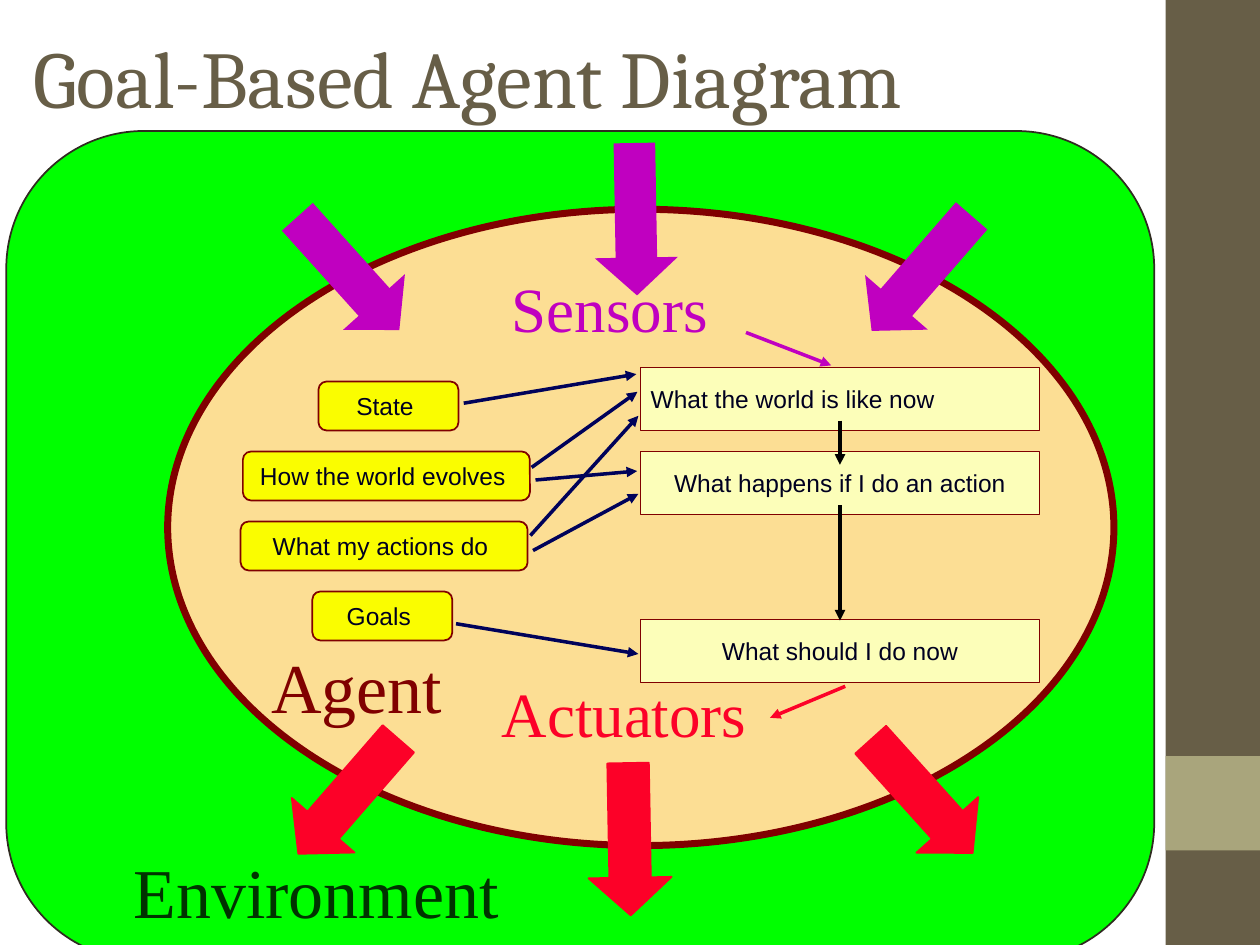
from lxml.etree import SubElement
from pptx import Presentation
from pptx.dml.color import RGBColor
from pptx.enum.shapes import MSO_CONNECTOR, MSO_SHAPE
from pptx.enum.text import MSO_ANCHOR, PP_ALIGN
from pptx.oxml.ns import qn
from pptx.util import Pt

HUES = {
    "brown": "675E47", "khaki": "A9A57C", "green": "00FF00", "edge": "2F2B20",
    "sand": "FCDE94", "maroon": "800000", "purple": "C000C0", "red": "FC0128",
    "cream": "FCFEB9", "yellow": "FAFD00", "ink": "000020", "navy": "00025A",
    "black": "000000", "forest": "003300",
}
SERIF = "Times New Roman"


def hue(name):
    return RGBColor.from_string(HUES[name])


def apply(target, values):
    for key, value in values.items():
        setattr(target, key, value)


def write(shape, text, size, font, color, align=PP_ALIGN.LEFT,
          anchor=MSO_ANCHOR.TOP, pads=(3, 0, 3, 0)):
    frame = shape.text_frame
    left, top, right, bottom = map(Pt, pads)
    apply(frame, {"word_wrap": True, "vertical_anchor": anchor, "text": text,
                  "margin_left": left, "margin_top": top,
                  "margin_right": right, "margin_bottom": bottom})
    para = frame.paragraphs[0]
    para.alignment = align
    apply(para.font, {"size": Pt(size), "name": font})
    para.font.color.rgb = hue(color)


def label(slide, box, *args, **more):
    write(slide.shapes.add_textbox(*map(Pt, box)), *args, **more)


def block(slide, kind, box, fill, line=None, width=1, adjust=()):
    shape = slide.shapes.add_shape(kind, *map(Pt, box))
    shape.shadow.inherit = False
    shape.fill.solid()
    shape.fill.fore_color.rgb = hue(fill)
    if line:
        shape.line.color.rgb = hue(line)
        shape.line.width = Pt(width)
    else:
        shape.line.fill.background()
    for index, value in enumerate(adjust):
        shape.adjustments[index] = value
    return shape


def link(slide, left, top, ends, color):
    x1, y1, x2, y2 = ends
    line = slide.shapes.add_connector(
        MSO_CONNECTOR.STRAIGHT, Pt(left + x1), Pt(top + y1), Pt(left + x2), Pt(top + y2))
    line.line.color.rgb = hue(color)
    line.line.width = Pt(2)
    SubElement(line.line._get_or_add_ln(), qn("a:tailEnd"), type="triangle")
    SubElement(line._element.spPr, qn("a:effectLst"))


def sidebar(slide, box):
    left, top, width, height = box
    block(slide, MSO_SHAPE.RECTANGLE, box, "brown")
    block(slide, MSO_SHAPE.RECTANGLE, (left, top + height * 0.8, width, height * 0.1), "khaki")


def heading(slide, box):
    label(slide, box, "Goal-Based Agent Diagram", 46, "Cambria", "brown",
          anchor=MSO_ANCHOR.MIDDLE, pads=(7.2, 3.6, 10, 3.6))


def world(slide, box):
    """Environment with the agent inside it."""
    left, top, width, height = box
    block(slide, MSO_SHAPE.ROUNDED_RECTANGLE, box, "green", "edge", adjust=(0.166,))
    block(slide, MSO_SHAPE.OVAL, (left + 92.2, top + 44.7, 540.7, 363.6), "sand", "maroon", 4)
    for text, x, y, color in (("Agent", 148.3, 293, "maroon"),
                              ("Environment", 69.8, 409.7, "forest")):
        label(slide, (left + x, top + y, 250, 48), text, 40, SERIF, color)


def fan(slide, box, text, spot, middle, turns, color, line=None):
    """Two slanted arrows at the ends, one between them, and a caption."""
    left, top, width, height = box
    long, thick = 87.1, 47.5
    places = ((0, 0), middle, (width - long, 0))
    for (x, y), turn in zip(places, turns):
        arrow = block(slide, MSO_SHAPE.RIGHT_ARROW, (left + x, top + y, long, thick),
                      color, line, adjust=(0.5, 0.455))
        arrow.rotation = turn
    label(slide, (left + spot[0], top + spot[1], 168, 43), text, 36, SERIF, color)


def steps(slide, box):
    """Reasoning steps, top to bottom."""
    left, top, width, height = box
    pitch = 48
    rows = ((0, "What the world is like now", PP_ALIGN.LEFT),
            (1, "What happens if I do an action", PP_ALIGN.CENTER),
            (3, "What should I do now", PP_ALIGN.CENTER))
    for row, text, align in rows:
        step = block(slide, MSO_SHAPE.RECTANGLE, (left, top + row * pitch, width, 36),
                     "cream", "maroon", 0.75)
        write(step, text, 14, "Arial", "ink", align, MSO_ANCHOR.MIDDLE, (5.8, 0, 5.8, 0))
    for ends, color in (((60.3, -20, 109, -1.2), "purple"),
                        ((114, 30.4, 114, 55.6), "black"),
                        ((114, 78.6, 114, 144.6), "black"),
                        ((117, 182.2, 74, 200.2), "red")):
        link(slide, left, top, ends, color)


def store(slide, box):
    """What the agent knows, with links to the steps."""
    left, top, width, height = box
    pitch = 40
    items = (("State", 44.5, 80), ("How the world evolves", 1.3, 164),
             ("What my actions do", 0, 164), ("Goals", 41, 80))
    for row, (text, x, wide) in enumerate(items):
        item = block(slide, MSO_SHAPE.ROUNDED_RECTANGLE,
                     (left + x, top + row * pitch, wide, 28), "yellow", "maroon",
                     adjust=(0.166,))
        write(item, text, 14, "Arial", "ink", PP_ALIGN.CENTER, MSO_ANCHOR.MIDDLE,
              (3, 3, 7, 3))
    for ends in ((127.5, 12.4, 226.1, -4.2), (123.1, 138.4, 227.3, 155.7),
                 (166.3, 49.1, 226.8, 5.9), (168.5, 56.3, 226.6, 51.2),
                 (165.6, 88, 227.3, 19.6), (167.1, 96.6, 227.3, 64.2)):
        link(slide, left, top, ends, "navy")


def main():
    deck = Presentation()
    apply(deck, {"slide_width": Pt(720), "slide_height": Pt(540)})
    slide = deck.slides.add_slide(deck.slide_layouts[6])
    sidebar(slide, (666, 0, 54, 540))
    heading(slide, (12, 0, 678, 87))
    world(slide, (3.6, 74.9, 656, 474))
    fan(slide, (155.5, 132.5, 414.7, 47.5), "Sensors", (134, 21.6), (164.2, -31),
        (48, 89, 131), "purple")
    fan(slide, (155.5, 431.3, 414.7, 47.5), "Actuators", (128.2, -46.1), (160.6, 24.5),
        (131, 89, 48), "red", "red")
    steps(slide, (366, 210, 228, 180))
    store(slide, (137.5, 218, 165.3, 148))
    deck.save("out.pptx")


if __name__ == "__main__":
    main()
